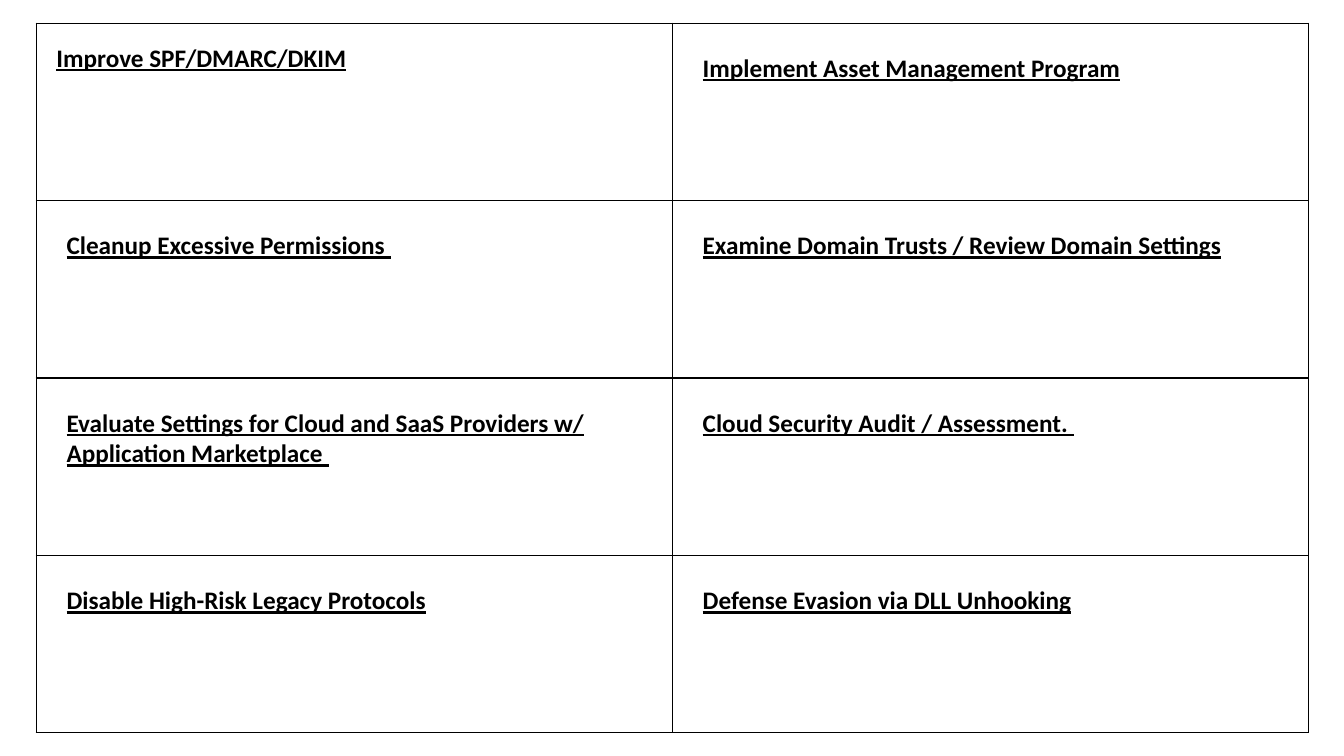
from dataclasses import dataclass

from lxml import etree
from pptx import Presentation
from pptx.dml.color import RGBColor
from pptx.oxml.ns import qn
from pptx.slide import Slide
from pptx.table import _Cell
from pptx.util import Inches, Pt

BLACK = RGBColor(0x00, 0x00, 0x00)
FONT = "Calibri"
BORDER_SIDES = ("a:lnL", "a:lnR", "a:lnT", "a:lnB")
BORDER_WIDTH = Pt(1)
COLUMN_WIDTH = Inches(6.31)
ROW_HEIGHT = Inches(1.76)


@dataclass(frozen=True)
class Recommendation:
    title: str
    inset: float = 0.3


RECOMMENDATIONS: list[list[Recommendation]] = [
    [Recommendation("Improve SPF/DMARC/DKIM", inset=0.2),
     Recommendation("Implement Asset Management Program")],
    [Recommendation("Cleanup Excessive Permissions "),
     Recommendation("Examine Domain Trusts / Review Domain Settings")],
    [Recommendation("Evaluate Settings for Cloud and SaaS Providers w/ Application Marketplace "),
     Recommendation("Cloud Security Audit / Assessment. ")],
    [Recommendation("Disable High-Risk Legacy Protocols"),
     Recommendation("Defense Evasion via DLL Unhooking")],
]


def draw_borders(cell: _Cell) -> None:
    properties = cell._tc.get_or_add_tcPr()
    for side in BORDER_SIDES:
        border = etree.SubElement(properties, qn(side), w=str(BORDER_WIDTH))
        fill = etree.SubElement(border, qn("a:solidFill"))
        etree.SubElement(fill, qn("a:srgbClr"), val=str(BLACK))


def fill_cell(cell: _Cell, recommendation: Recommendation) -> None:
    inset = Inches(recommendation.inset)
    cell.margin_left = cell.margin_right = inset
    cell.margin_top = cell.margin_bottom = inset
    draw_borders(cell)
    cell.fill.background()

    title = cell.text_frame.paragraphs[0].add_run()
    title.text = recommendation.title
    title.font.name = FONT
    title.font.size = Pt(18)
    title.font.bold = True
    title.font.underline = True
    title.font.color.rgb = BLACK


def add_recommendations(slide: Slide) -> None:
    row_count, column_count = len(RECOMMENDATIONS), len(RECOMMENDATIONS[0])
    grid = slide.shapes.add_table(
        row_count, column_count, Inches(0.36), Inches(0.23),
        COLUMN_WIDTH * column_count, ROW_HEIGHT * row_count,
    ).table
    grid.first_row = False
    grid.horz_banding = False
    for row, recommendations in enumerate(RECOMMENDATIONS):
        for column, recommendation in enumerate(recommendations):
            fill_cell(grid.cell(row, column), recommendation)


def main() -> None:
    # Blank widescreen slide
    presentation = Presentation()
    presentation.slide_width = Inches(13.33)
    presentation.slide_height = Inches(7.5)
    slide = presentation.slides.add_slide(presentation.slide_layouts[6])

    # Grid of recommendations
    add_recommendations(slide)
    presentation.save("out.pptx")


if __name__ == "__main__":
    main()
